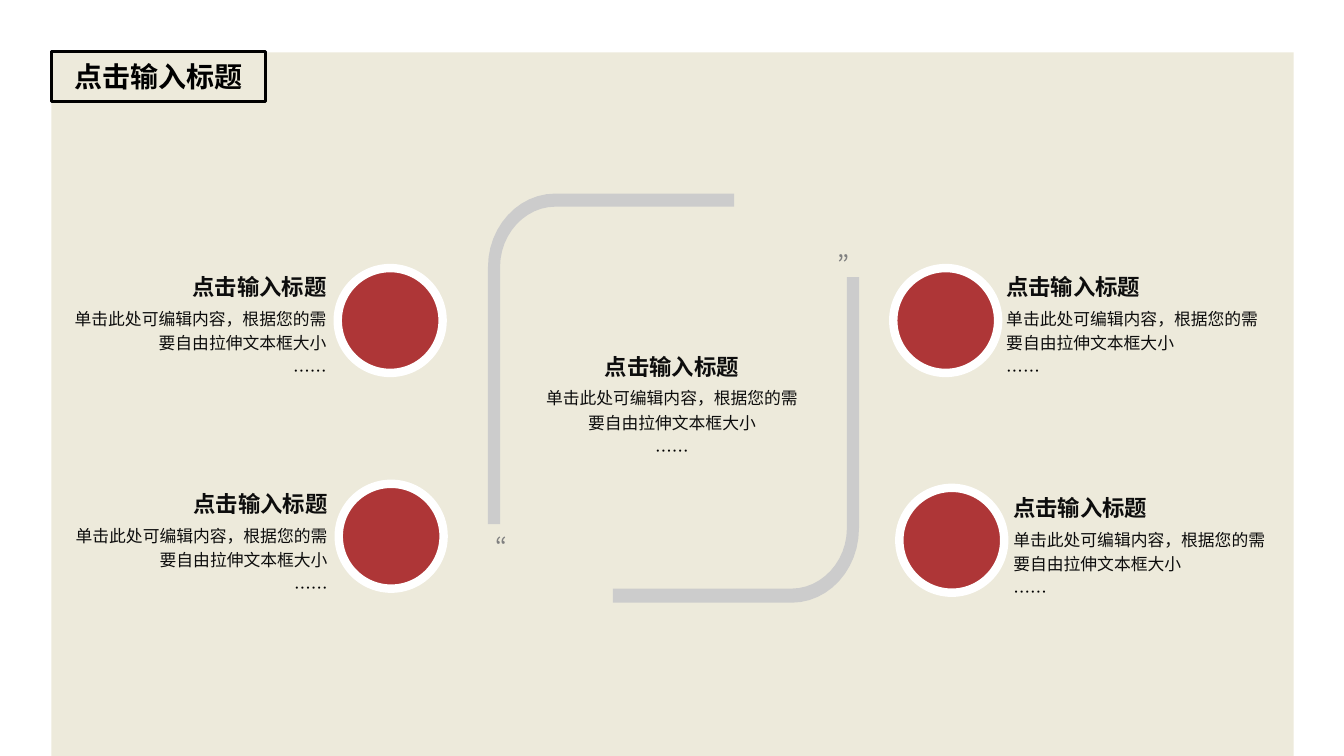
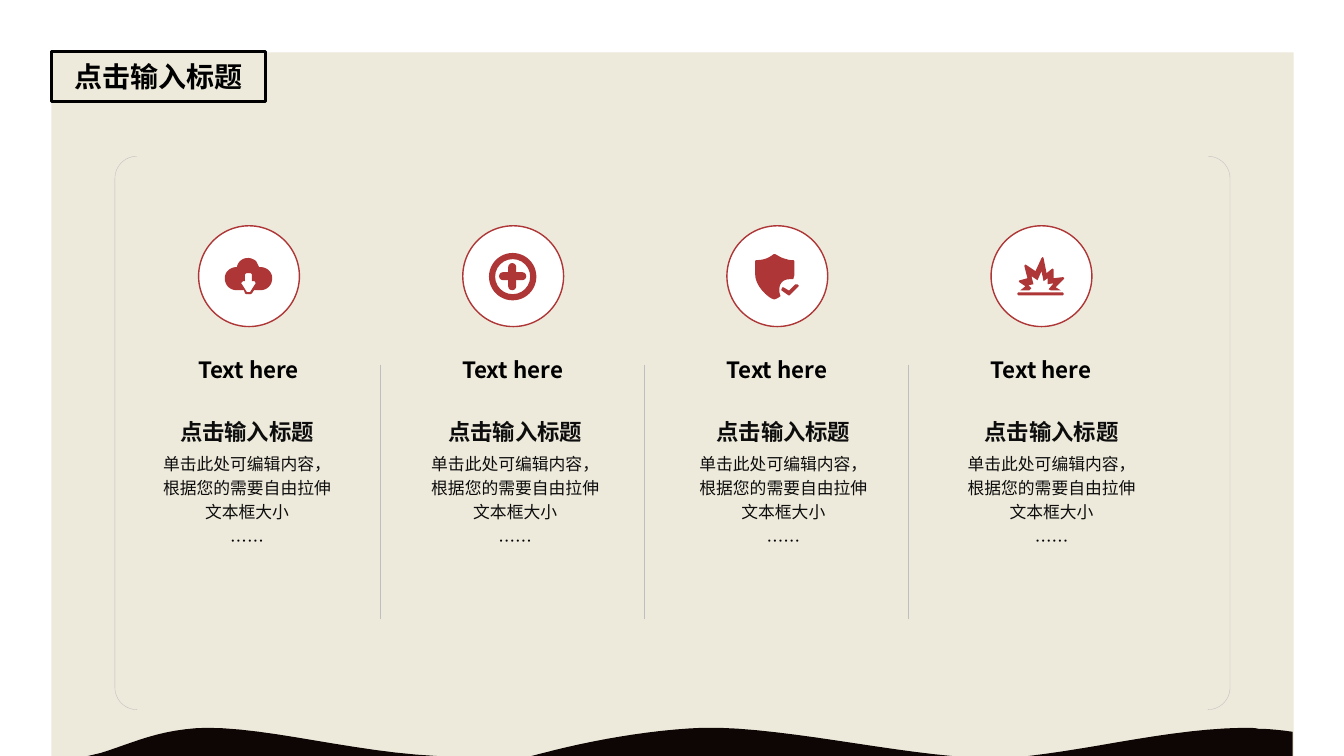
import pptx
import pptx.dml.color
import pptx.enum.shapes
import pptx.enum.text
import pptx.oxml
import pptx.oxml.ns
import pptx.util

PX = 9144  # EMU per px, 100 px to the inch
WIDTH, HEIGHT = 1333, 750
FONT = "Noto Sans CJK JP"
color = pptx.dml.color.RGBColor.from_string
BLACK, INK, RED, CREAM, WHITE = "000000", "0D0D0D", "AE3637", "EDEADB", "FFFFFF"
FRAME_GRAY, QUOTE_GRAY, LINE_GRAY, WAVE = "CCCCCC", "808080", "BFBFBF", "0E0505"
SHAPE = pptx.enum.shapes.MSO_SHAPE
ALIGN = pptx.enum.text.PP_ALIGN
ANCHOR = pptx.enum.text.MSO_ANCHOR

HEADING = "点击输入标题"
BODY = [
    (HEADING, 16, True, INK),
    ("单击此处可编辑内容，根据您的需要自由拉伸文本框大小", 12, False, INK),
    ("……", 12, False, BLACK),
]


def write_text(shape, lines, align, anchor=ANCHOR.TOP, margins=(10, 5), line_spacing=None):
    """Fill a shape with lines of (text, size, bold, colour)."""
    frame = shape.text_frame
    frame.word_wrap = True
    frame.auto_size = pptx.enum.text.MSO_AUTO_SIZE.NONE
    frame.vertical_anchor = anchor
    frame.margin_left = frame.margin_right = margins[0] * PX
    frame.margin_top = frame.margin_bottom = margins[1] * PX
    for index, (text, size, bold, ink) in enumerate(lines):
        paragraph = frame.add_paragraph() if index else frame.paragraphs[0]
        paragraph.text = text
        paragraph.alignment = align
        if line_spacing:
            paragraph.line_spacing = line_spacing
        if index:
            paragraph.space_before = pptx.util.Pt(3)
        paragraph.font.size = pptx.util.Pt(size)
        paragraph.font.bold = bold
        paragraph.font.color.rgb = color(ink)
        paragraph.font.name = FONT
        # East Asian characters take their own typeface element
        properties = paragraph._p.pPr.find(pptx.oxml.ns.qn("a:defRPr"))
        east_asian = pptx.oxml.parse_xml(
            f'<a:ea {pptx.oxml.ns.nsdecls("a")} typeface="{FONT}"/>')
        properties.find(pptx.oxml.ns.qn("a:latin")).addnext(east_asian)


def draw_outline(slide, contours, fill):
    """Draw closed contours; two numbers are a corner, six are a Bezier curve."""
    builder = None
    for start, *segments in contours:
        x, y = start
        points = []
        for segment in segments:
            if len(segment) == 2:
                points.append(segment)
            else:
                x1, y1, x2, y2, x3, y3 = segment
                for step in range(1, 13):
                    t = step / 12
                    u = 1 - t
                    points.append((
                        u**3 * x + 3 * u * u * t * x1 + 3 * u * t * t * x2 + t**3 * x3,
                        u**3 * y + 3 * u * u * t * y1 + 3 * u * t * t * y2 + t**3 * y3))
            x, y = segment[-2:]
        if builder is None:
            builder = slide.shapes.build_freeform(start[0] * PX, start[1] * PX)
        else:
            builder.move_to(start[0] * PX, start[1] * PX)
        builder.add_line_segments([(px * PX, py * PX) for px, py in points], close=True)
    shape = builder.convert_to_shape()
    shape.shadow.inherit = False
    shape.fill.solid()
    shape.fill.fore_color.rgb = color(fill)
    shape.line.fill.background()


presentation = pptx.Presentation()
presentation.slide_width = WIDTH * PX
presentation.slide_height = HEIGHT * PX

# Shared panel and boxed title
slides = []
for number in range(2):
    slide = presentation.slides.add_slide(presentation.slide_layouts[5])
    panel = slide.shapes.add_shape(SHAPE.RECTANGLE, 51 * PX, 52 * PX, 1232 * PX, 698 * PX)
    panel.shadow.inherit = False
    panel.fill.solid()
    panel.fill.fore_color.rgb = color(CREAM)
    panel.line.fill.background()

    title = slide.shapes.title
    title.left, title.top, title.width, title.height = 51 * PX, 51 * PX, 212 * PX, 50 * PX
    title.line.color.rgb = color(BLACK)
    title.line.width = pptx.util.Pt(2.25)
    write_text(title, [(HEADING, 20, True, BLACK)], ALIGN.CENTER, ANCHOR.MIDDLE)
    panel._element.addnext(title._element)  # title in front of the panel
    slides.append(slide)
quote_slide, icon_slide = slides

# Slide 1: the two halves of the frame
frame_halves = [
    [(840, 524), (840, 557, 815, 584, 785, 584), (608, 584), (608, 598), (785, 598),
     (822, 598, 852, 565, 852, 524), (852, 275), (840, 275)],
    [(496, 265), (496, 232, 521, 205, 551, 205), (728, 205), (728, 192), (551, 192),
     (514, 192, 484, 225, 484, 265), (484, 520), (496, 520)],
]
for half in frame_halves:
    draw_outline(quote_slide, [half], FRAME_GRAY)

# Slide 1: quotation marks, the upper one turned round
for left, top, rotation in [(757, 193, 180), (482, 522, 0)]:
    quote = quote_slide.shapes.add_textbox(left * PX, top * PX, 95 * PX, 77 * PX)
    quote.rotation = rotation
    write_text(quote, [("“", 18, False, QUOTE_GRAY)], ALIGN.LEFT)

# Slide 1: discs
for left, top in [(335, 266), (336, 480), (886, 266), (892, 484)]:
    disc = quote_slide.shapes.add_shape(SHAPE.OVAL, left * PX, top * PX, 104 * PX, 104 * PX)
    disc.shadow.inherit = False
    disc.fill.solid()
    disc.fill.fore_color.rgb = color(RED)
    disc.line.color.rgb = color(WHITE)
    disc.line.width = pptx.util.Pt(6)

# Slide 1: texts beside the discs and in the frame
for left, top, align in [
    (69, 266, ALIGN.RIGHT), (70, 481, ALIGN.RIGHT),
    (998, 266, ALIGN.LEFT), (1005, 485, ALIGN.LEFT),
    (539, 345, ALIGN.CENTER),
]:
    description = quote_slide.shapes.add_textbox(left * PX, top * PX, 255 * PX, 113 * PX)
    write_text(description, BODY, align, margins=(0, 0), line_spacing=1.2)

# Slide 2: bracket pair
brackets = icon_slide.shapes.add_shape(
    SHAPE.DOUBLE_BRACKET, 114 * PX, 155 * PX, 1106 * PX, 549 * PX)
brackets.adjustments[0] = 0.04
brackets.shadow.inherit = False
brackets.fill.background()
brackets.line.color.rgb = color(LINE_GRAY)
brackets.line.width = pptx.util.Pt(0.25)

# Slide 2: four columns, with a rule between neighbours
COLUMNS, COLUMN_STEP, TEXT_STEP = 4, 262, 266
for column in range(COLUMNS):
    offset = column * COLUMN_STEP
    circle = icon_slide.shapes.add_shape(
        SHAPE.OVAL, (197 + offset) * PX, 224 * PX, 100 * PX, 100 * PX)
    circle.shadow.inherit = False
    circle.fill.solid()
    circle.fill.fore_color.rgb = color(WHITE)
    circle.line.color.rgb = color(RED)
    circle.line.width = pptx.util.Pt(1)

    label = icon_slide.shapes.add_textbox((145 + offset) * PX, 342 * PX, 203 * PX, 49 * PX)
    write_text(label, [("Text here", 16, True, BLACK)], ALIGN.CENTER, ANCHOR.MIDDLE)

    description = icon_slide.shapes.add_textbox(
        (159 + column * TEXT_STEP) * PX, 410 * PX, 172 * PX, 137 * PX)
    write_text(description, BODY, ALIGN.CENTER, margins=(0, 0), line_spacing=1.2)

    if column < COLUMNS - 1:
        rule_x = (377 + offset) * PX
        rule = icon_slide.shapes.add_connector(
            pptx.enum.shapes.MSO_CONNECTOR.STRAIGHT, rule_x, 362 * PX, rule_x, 614 * PX)
        rule.line.color.rgb = color(LINE_GRAY)
        rule.line.width = pptx.util.Pt(0.25)
        rule._element.spPr.append(
            pptx.oxml.parse_xml(f'<a:effectLst {pptx.oxml.ns.nsdecls("a")}/>'))

# Slide 2: plus icon, a ring and two rounded bars
for kind, left, top, width, height, adjustment in [
    (SHAPE.DONUT, 485, 251, 47, 47, 0.13),
    (SHAPE.ROUNDED_RECTANGLE, 504, 261, 8, 27, 0.5),
    (SHAPE.ROUNDED_RECTANGLE, 495, 270, 27, 8, 0.5),
]:
    part = icon_slide.shapes.add_shape(kind, left * PX, top * PX, width * PX, height * PX)
    part.adjustments[0] = adjustment
    part.shadow.inherit = False
    part.fill.solid()
    part.fill.fore_color.rgb = color(RED)
    part.line.fill.background()

# Slide 2: cloud, shield and burst icons
cloud = [
    [(258, 265), (257, 265), (256, 263, 255, 261, 254, 259), (251, 257, 249, 256, 246, 256),
     (240, 256, 236, 260, 235, 265), (228, 265, 223, 270, 223, 276),
     (223, 283, 228, 288, 235, 288), (242, 288), (243, 291),
     (244, 292, 245, 292, 247, 292), (248, 292, 249, 292, 250, 291), (252, 288),
     (258, 288), (265, 288, 270, 283, 270, 276), (270, 270, 265, 265, 258, 265)],
    [(253, 282), (248, 290), (247, 290), (246, 290, 246, 290, 245, 290), (240, 282),
     (239, 281, 239, 281, 240, 280), (240, 280, 241, 279, 241, 279), (243, 279),
     (243, 273), (243, 272, 244, 271, 245, 271), (248, 271),
     (249, 271, 250, 272, 250, 273), (250, 279), (252, 279),
     (253, 279, 253, 280, 253, 280), (254, 281, 254, 281, 253, 282)],
]
shield = [
    [(790, 282), (791, 282), (792, 283), (792, 284), (783, 293), (782, 293), (775, 288),
     (775, 287), (776, 285), (777, 285), (782, 288), (783, 288), (789, 282)],
    [(768, 252), (770, 252, 774, 256, 780, 257), (782, 258, 784, 258, 787, 258),
     (788, 259), (788, 272), (788, 274, 787, 275, 787, 277), (786, 277),
     (785, 277, 785, 277, 783, 277), (777, 277, 773, 281, 773, 287),
     (773, 289, 773, 291, 774, 293), (774, 294), (771, 296, 769, 297, 768, 297),
     (764, 297, 749, 285, 749, 272), (749, 259), (750, 258),
     (752, 258, 755, 258, 758, 257), (763, 256, 767, 252, 768, 252)],
]
burst = [
    [(1010, 290), (1054, 290), (1055, 291), (1055, 292), (1054, 293), (1010, 293),
     (1009, 292), (1009, 291)],
    [(1034, 255), (1035, 256), (1038, 271), (1043, 267), (1044, 266, 1045, 267, 1045, 268),
     (1045, 276), (1054, 275), (1055, 275, 1056, 276, 1055, 277), (1047, 285), (1052, 288),
     (1042, 288), (1040, 287), (1045, 281), (1039, 282), (1039, 276), (1035, 279),
     (1033, 269), (1029, 278), (1023, 274), (1025, 282), (1020, 283), (1023, 286),
     (1021, 288), (1012, 288), (1017, 284), (1011, 280),
     (1010, 279, 1011, 278, 1012, 278), (1019, 276), (1016, 264),
     (1016, 263, 1017, 262, 1018, 263), (1027, 269), (1033, 256)],
]
for icon in [cloud, shield, burst]:
    draw_outline(icon_slide, icon, RED)

# Slide 2: waves along the bottom edge
waves = [
    [(713, 722), (783, 724, 875, 744, 944, 750), (527, 750), (539, 747),
     (584, 735, 644, 724, 697, 722), (702, 722, 707, 722, 713, 722)],
    [(1234, 722), (1239, 722, 1244, 722, 1248, 723), (1257, 723, 1266, 724, 1275, 725),
     (1282, 726), (1282, 750), (1020, 750), (1090, 742, 1162, 723, 1234, 722)],
    [(205, 722), (268, 722, 351, 746, 433, 750), (87, 750), (100, 747),
     (132, 737, 159, 723, 205, 722)],
]
for wave in waves:
    draw_outline(icon_slide, [wave], WAVE)

presentation.save("out.pptx")
